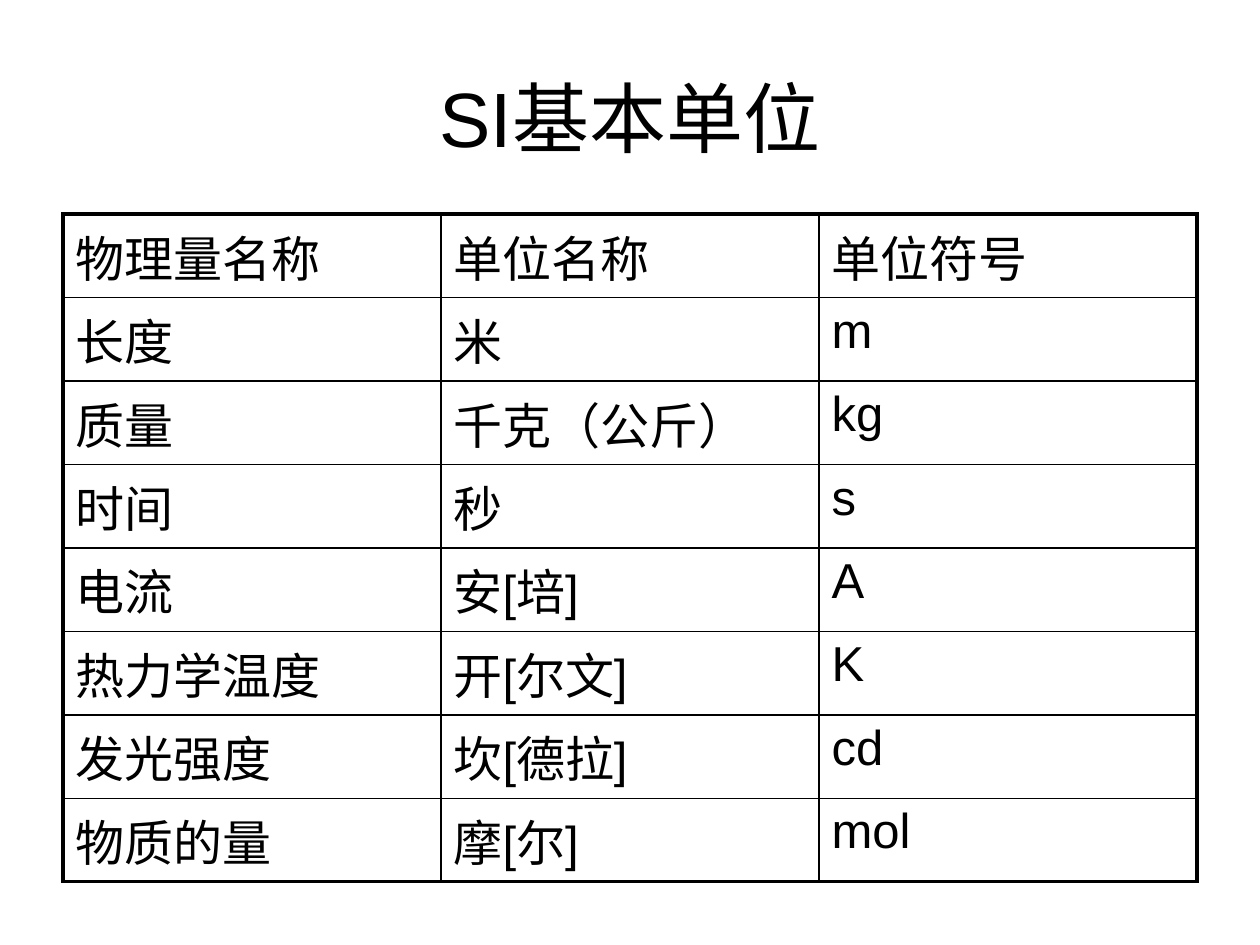
from pptx import Presentation, util as u
from pptx.dml.color import RGBColor
from pptx.enum import text
from pptx.oxml.xmlchemy import OxmlElement

BLACK = RGBColor(0, 0, 0)
FONT = "Arial"
THIN, THICK = 1, 2.25

UNITS = [
    ("物理量名称", "单位名称", "单位符号"),
    ("长度", "米", "m"),
    ("质量", "千克（公斤）", "kg"),
    ("时间", "秒", "s"),
    ("电流", "安[培]", "A"),
    ("热力学温度", "开[尔文]", "K"),
    ("发光强度", "坎[德拉]", "cd"),
    ("物质的量", "摩[尔]", "mol"),
]


def sub(parent, tag, **attrs):
    """Append an XML child with the given attributes."""
    child = OxmlElement(tag)
    for name, value in attrs.items():
        child.set(name, str(value))
    parent.append(child)
    return child


def format_font(p, size):
    p.font.name = FONT
    p.font.size = u.Pt(size)
    p.font.color.rgb = BLACK


def space_before(p, percent):
    """Paragraph spacing relative to the text size."""
    spacing = OxmlElement("a:spcBef")
    sub(spacing, "a:spcPct", val=percent * 1000)
    p._p.get_or_add_pPr().insert(0, spacing)


def set_border(cell, side, width):
    line = sub(cell._tc.get_or_add_tcPr(), f"a:ln{side}", w=u.Pt(width))
    fill = sub(line, "a:solidFill")
    sub(fill, "a:srgbClr", val=BLACK)


def add_title(s, prs, wording):
    title = s.shapes.title
    title.left, title.top = int(prs.slide_width * 0.05), int(prs.slide_height * 0.04)
    title.width, title.height = int(prs.slide_width * 0.9), u.Inches(1.25)
    tf = title.text_frame
    tf.text = wording
    tf.vertical_anchor = text.MSO_ANCHOR.MIDDLE
    p = tf.paragraphs[0]
    p.alignment = text.PP_ALIGN.CENTER
    format_font(p, 44)


def add_units_table(s, rows):
    n_rows, n_cols = len(rows), len(rows[0])
    table = s.shapes.add_table(n_rows, n_cols, u.Inches(0.5), u.Inches(1.7),
                               u.Inches(9), u.Inches(5)).table
    table.first_row = table.horz_banding = False
    for i, row in enumerate(rows):
        table.rows[i].height = u.Inches(0.62 if i else 0.66)
        for j, wording in enumerate(row):
            cell = table.cell(i, j)
            cell.text = wording
            p = cell.text_frame.paragraphs[0]
            format_font(p, 28)
            space_before(p, 20)
            # Thick lines around the table, thin lines inside
            outer = {"L": j == 0, "R": j == n_cols - 1,
                     "T": i == 0, "B": i == n_rows - 1}
            for side, is_outer in outer.items():
                set_border(cell, side, THICK if is_outer else THIN)
            cell.fill.background()


def main():
    prs = Presentation()
    prs.slide_width, prs.slide_height = u.Inches(10), u.Inches(7.5)
    s = prs.slides.add_slide(prs.slide_layouts[5])
    add_title(s, prs, "SI基本单位")
    add_units_table(s, UNITS)
    prs.save("out.pptx")


if __name__ == "__main__":
    main()
